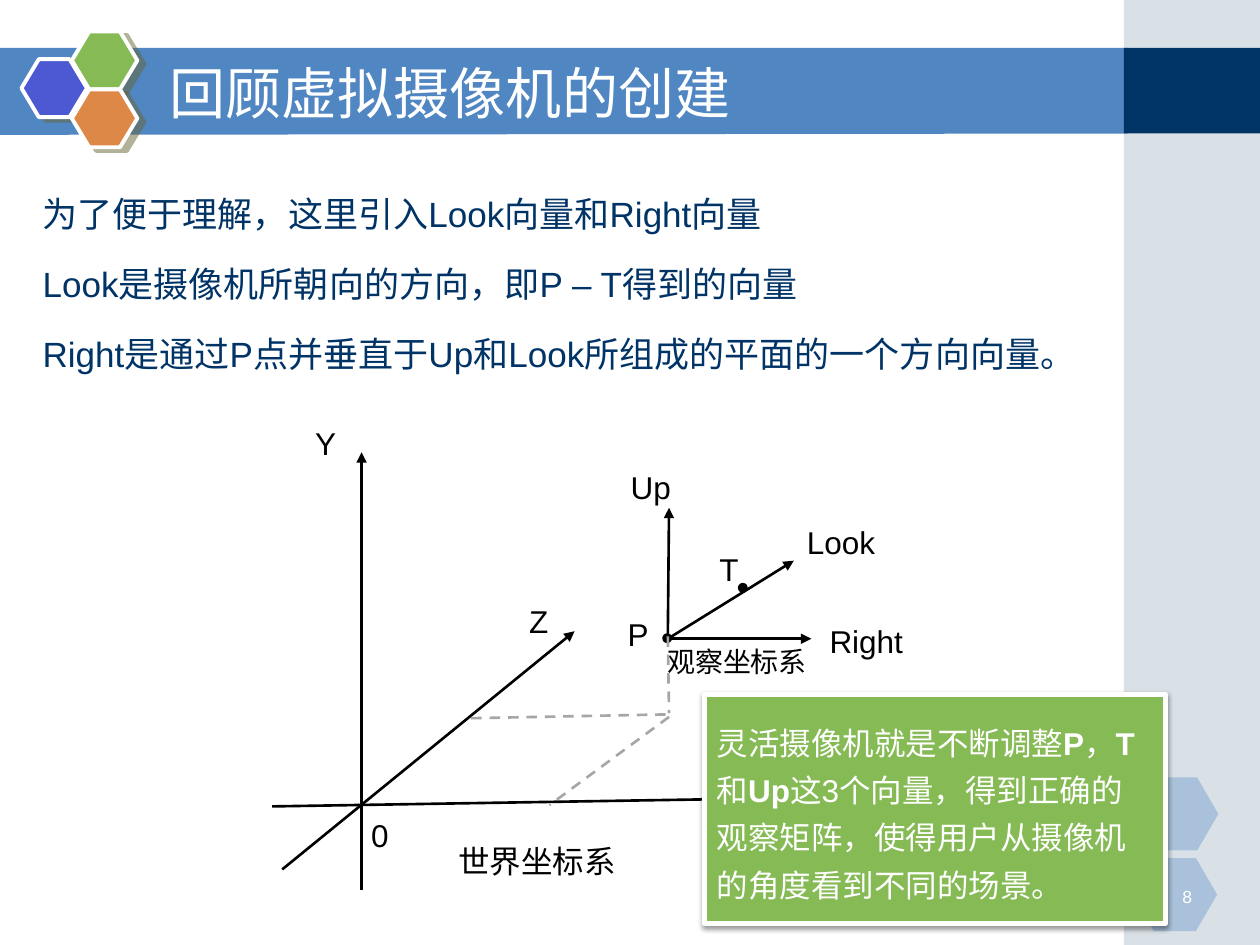
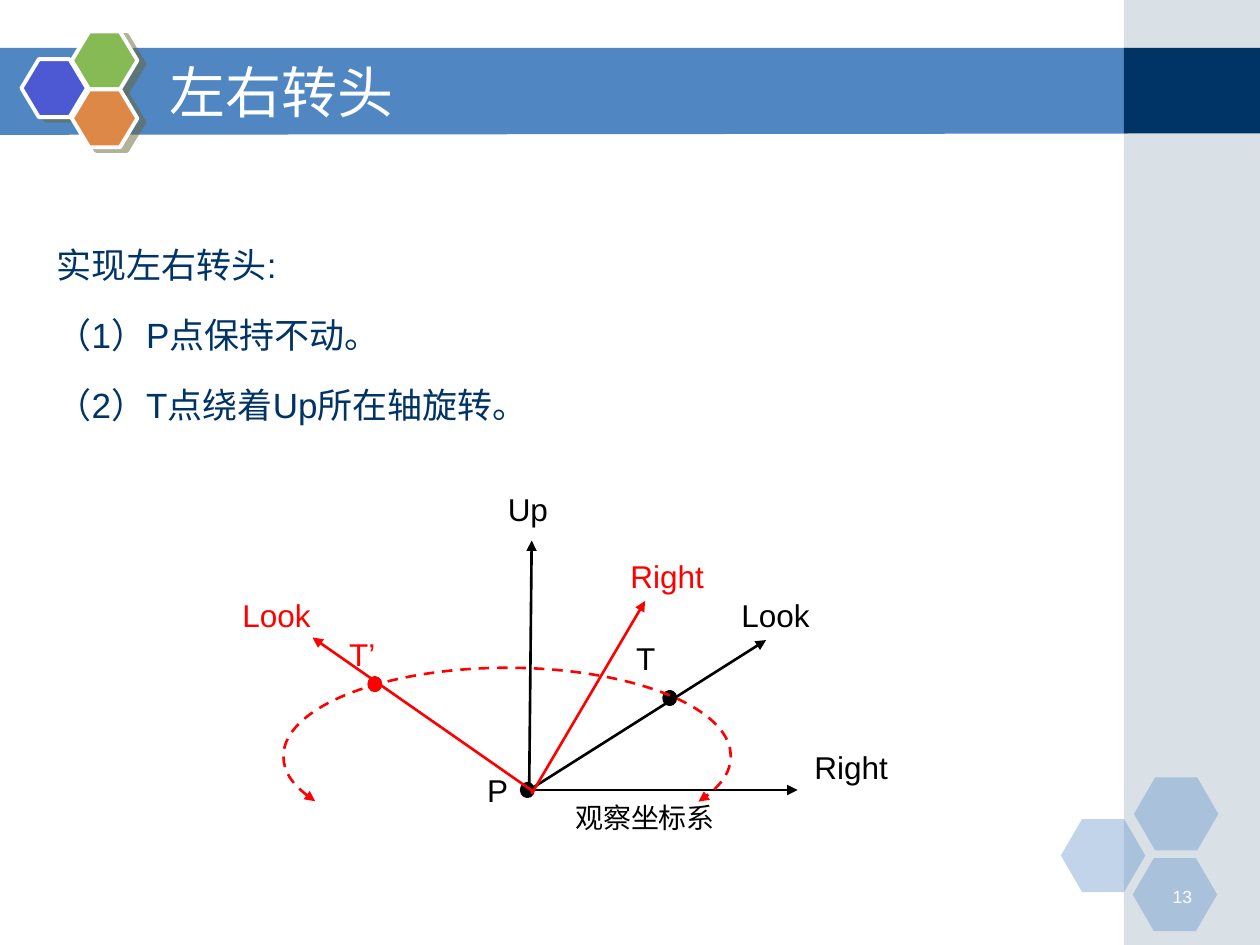
"""Build two slides on the virtual camera: its vectors and turning left or right."""
import pptx
import pptx.dml.color
import pptx.enum.dml
import pptx.enum.shapes
import pptx.enum.text
import pptx.oxml.ns
import pptx.util
from lxml import etree

Inches = pptx.util.Inches
Pt = pptx.util.Pt
RGBColor = pptx.dml.color.RGBColor
MSO_SHAPE = pptx.enum.shapes.MSO_SHAPE
PP_ALIGN = pptx.enum.text.PP_ALIGN
MSO_ANCHOR = pptx.enum.text.MSO_ANCHOR
qn = pptx.oxml.ns.qn

WHITE = RGBColor(0xFF, 0xFF, 0xFF)
BLACK = RGBColor(0x00, 0x00, 0x00)
RED = RGBColor(0xFF, 0x00, 0x00)
GREY = RGBColor(0xA6, 0xA6, 0xA6)
NAVY = RGBColor(0x00, 0x33, 0x66)
BLUE = RGBColor(0x50, 0x86, 0xC2)
MIST = RGBColor(0xA0, 0xB5, 0xC4)
INDIGO = RGBColor(0x4C, 0x59, 0xD2)
GREEN = RGBColor(0x85, 0xBA, 0x54)
ORANGE = RGBColor(0xDE, 0x88, 0x48)
OLIVE = RGBColor(0x66, 0x66, 0x33)


def add_text(tf, text, size=18, color=BLACK, align=PP_ALIGN.LEFT,
             anchor=MSO_ANCHOR.MIDDLE, spacing=1.0, before=0):
    """Write lines of text; words between asterisks are bold."""
    tf.word_wrap = True
    tf.vertical_anchor = anchor
    for i, line in enumerate(text.split("\n")):
        p = tf.add_paragraph() if i else tf.paragraphs[0]
        p.alignment = align
        p.line_spacing = spacing
        p.space_before = Pt(before)
        for j, part in enumerate(line.split("*")):
            r = p.add_run()
            r.text = part
            r.font.name = "Arial"
            r.font.size = Pt(size)
            r.font.bold = j % 2 == 1
            r.font.color.rgb = color


def add_shape(s, kind, box, fill=None, line=None, width=0, alpha=100, shadow=None):
    """Add a preset shape; shadow is colour, alpha, blur, distance and angle."""
    sp = s.shapes.add_shape(kind, *map(Inches, box))
    sp.shadow.inherit = False
    if fill is None:
        sp.fill.background()
    else:
        sp.fill.solid()
        sp.fill.fore_color.rgb = fill
    if alpha < 100:
        clr = sp._element.spPr.find(qn("a:solidFill")).find(qn("a:srgbClr"))
        etree.SubElement(clr, qn("a:alpha"), val=str(alpha * 1000))
    if line is None:
        sp.line.fill.background()
    else:
        sp.line.color.rgb = line
        sp.line.width = Pt(width)
    if shadow:
        color, opacity, blur, dist, angle = shadow
        outer = etree.SubElement(
            sp._element.spPr.find(qn("a:effectLst")), qn("a:outerShdw"),
            blurRad=str(Pt(blur)), dist=str(Pt(dist)), dir=str(angle * 60000),
            algn="ctr", rotWithShape="0")
        clr = etree.SubElement(outer, qn("a:srgbClr"), val=str(color))
        etree.SubElement(clr, qn("a:alpha"), val=str(opacity * 1000))
    return sp


LOGO = [(0.17, 0.47, INDIGO), (0.57, 0.25, GREEN), (0.57, 0.71, ORANGE)]

SLIDES = [
    {
        "title": "回顾虚拟摄像机的创建", "title_top": 0.42, "number": "8",
        "hexagons": [(9, 6.17), (8.99, 6.81)],
        "body_box": (0.24, 1.31, 8.82, 1.86),
        "body": "为了便于理解，这里引入Look向量和Right向量\n"
                "Look是摄像机所朝向的方向，即P – T得到的向量\n"
                "Right是通过P点并垂直于Up和Look所组成的平面的一个方向向量。",
        "label_height": 0.47, "dot": (0.05, 0.05),
        "layers": [
            (BLACK,
             [(2.16, 6.4, 5.87, 6.34), (2.24, 6.9, 4.56, 5.01),
              (2.87, 7.06, 2.87, 3.59), (5.3, 5.07, 6.44, 5.07),
              (5.3, 5.07, 6.3, 4.45), (5.3, 5.06, 5.31, 4.03)],
             [(5.27, 5.04), (5.87, 4.64)],
             [("Y", 2.39, 3.28, 0.39, 18), ("Z", 4.08, 4.69, 0.39, 18),
              ("0", 2.82, 6.39, 0.39, 18), ("P", 4.87, 4.8, 0.39, 18),
              ("T", 5.59, 4.28, 0.39, 18), ("世界坐标系", 3.25, 6.6, 2.02, 18),
              ("观察坐标系", 4.84, 5.01, 2.02, 16), ("Up", 4.87, 3.63, 0.59, 18),
              ("Right", 6.43, 4.85, 0.89, 18), ("Look", 6.23, 4.07, 0.89, 18)]),
            (GREY,
             [(3.74, 5.7, 5.3, 5.67), (5.31, 5.69, 4.36, 6.39),
              (5.3, 5.05, 5.31, 5.66)],
             [], []),
        ],
        "note": "灵活摄像机就是不断调整*P*，*T*和*Up*这3个向量，"
                "得到正确的观察矩阵，使得用户从摄像机的角度看到不同的场景。",
    },
    {
        "title": "左右转头", "title_top": 0.41, "number": "13",
        "hexagons": [(8.42, 6.5), (9, 6.17), (8.99, 6.81)],
        "body_box": (0.35, 1.72, 8.79, 2.6),
        "body": "实现左右转头:\n（1）P点保持不动。\n（2）T点绕着Up所在轴旋转。",
        "label_height": 0.9, "dot": (0.09, 0.1),
        "layers": [
            (BLACK,
             [(4.2, 6.27, 6.33, 6.27), (4.2, 6.27, 6.08, 5.08),
              (4.2, 6.25, 4.22, 4.29)],
             [(4.14, 6.22), (5.27, 5.49)],
             [("P", 3.58, 5.82, 0.74, 18), ("T", 4.76, 4.77, 0.73, 18),
              ("观察坐标系", 3.23, 6.04, 3.78, 16), ("Up", 3.64, 3.59, 1.1, 18),
              ("Look", 5.32, 4.43, 1.67, 18), ("Right", 5.92, 5.64, 1.67, 18)]),
            (RED,
             [(4.23, 6.28, 2.48, 5.06), (4.22, 6.3, 5.12, 4.77)],
             [(2.93, 5.38)],
             [("Right", 4.46, 4.12, 1.67, 18), ("Look", 1.36, 4.43, 1.67, 18),
              ("T’", 2.51, 4.74, 0.73, 18)]),
        ],
        "arc": (2.25, 5.3, 3.55, 1.4),
    },
]

prs = pptx.Presentation()
prs.slide_width = Inches(10)
prs.slide_height = Inches(7.5)

for page in SLIDES:
    s = prs.slides.add_slide(prs.slide_layouts[6])

    fb = s.shapes.build_freeform(Inches(-0.01), Inches(0.38))
    fb.add_line_segments([(Inches(x), Inches(y)) for x, y in
                          [(8.95, 0.38), (8.95, 1.06), (-0.01, 1.07)]])
    band = fb.convert_to_shape()
    band.shadow.inherit = False
    band.fill.solid()
    band.fill.fore_color.rgb = BLUE
    band.line.fill.background()
    add_shape(s, MSO_SHAPE.RECTANGLE, (8.92, 0, 1.08, 7.5), MIST, alpha=40)
    add_shape(s, MSO_SHAPE.RECTANGLE, (8.92, 0.38, 1.08, 0.68), NAVY)
    for x, y in page["hexagons"]:
        sp = add_shape(s, MSO_SHAPE.HEXAGON, (x, y, 0.67, 0.58), BLUE, alpha=35)
        sp.adjustments[0] = 0.29
    for x, y, color in LOGO:
        sp = add_shape(s, MSO_SHAPE.HEXAGON, (x, y, 0.52, 0.46), color, WHITE, 2.25,
                       shadow=(OLIVE, 50, 0, 4.5, 27))
        sp.adjustments[0] = 0.3

    title_box = (1.25, page["title_top"], 7.33, 0.62)
    tf = s.shapes.add_textbox(*map(Inches, title_box)).text_frame
    add_text(tf, page["title"], size=32, color=WHITE)
    tf = s.shapes.add_textbox(*map(Inches, (9.06, 6.98, 0.5, 0.25))).text_frame
    add_text(tf, page["number"], size=10, color=WHITE, align=PP_ALIGN.RIGHT,
             anchor=MSO_ANCHOR.TOP)
    tf = s.shapes.add_textbox(*map(Inches, page["body_box"])).text_frame
    add_text(tf, page["body"], size=20, color=NAVY, anchor=MSO_ANCHOR.TOP,
             spacing=1.5, before=4)

    for color, lines, dots, labels in page["layers"]:
        if color == RED:
            arc = add_shape(s, MSO_SHAPE.ARC, page["arc"], line=RED, width=1.5)
            arc.adjustments[0] = 100.04
            arc.adjustments[1] = 8.06
            arc.line.dash_style = pptx.enum.dml.MSO_LINE.DASH
            for end in ("a:headEnd", "a:tailEnd"):
                etree.SubElement(arc.line._get_or_add_ln(), qn(end), type="triangle")
        for ends in lines:
            cx = s.shapes.add_connector(pptx.enum.shapes.MSO_CONNECTOR.STRAIGHT,
                                        *map(Inches, ends))
            cx.line.color.rgb = color
            cx.line.width = Pt(1.5)
            if color == GREY:
                cx.line.dash_style = pptx.enum.dml.MSO_LINE.DASH
            else:
                etree.SubElement(cx.line._get_or_add_ln(), qn("a:tailEnd"),
                                 type="triangle")
            etree.SubElement(cx._element.spPr, qn("a:effectLst"))
        for x, y in dots:
            add_shape(s, MSO_SHAPE.OVAL, (x, y, *page["dot"]), color, color, 2)
        for label, x, y, width, size in labels:
            box = (x, y, width, page["label_height"])
            tf = s.shapes.add_textbox(*map(Inches, box)).text_frame
            add_text(tf, label, size=size, color=color, align=PP_ALIGN.CENTER)

    if "note" in page:
        sp = add_shape(s, MSO_SHAPE.RECTANGLE, (5.59, 5.51, 3.66, 1.82), GREEN, WHITE, 3,
                       shadow=(BLACK, 38, 3.1, 1.6, 90))
        add_text(sp.text_frame, page["note"], color=WHITE, spacing=1.25)

prs.save("out.pptx")
